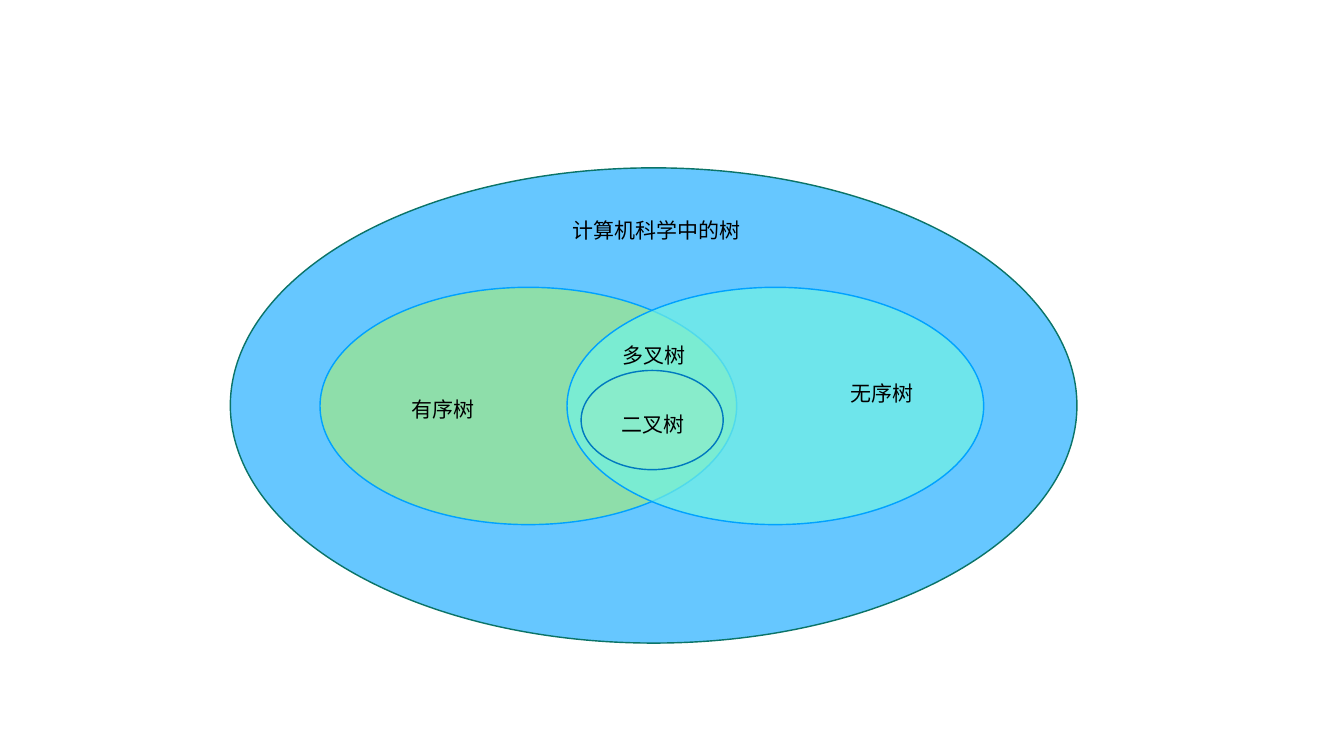
from lxml.etree import SubElement
from pptx import Presentation
from pptx.dml.color import RGBColor as RGB
from pptx.enum.shapes import MSO_SHAPE as Shape
from pptx.enum.text import MSO_ANCHOR as Anchor, PP_ALIGN as Align
from pptx.oxml.ns import qn
from pptx.util import Cm, Pt

HUES = {
    "blue": "66C7FF", "green": "A0E886", "aqua": "72F2E3", "pale": "C0EFAF",
    "teal": "0B7468", "azure": "00A2FF", "navy": "0079BF", "black": "000000",
}

deck = Presentation()
deck.slide_width, deck.slide_height = Cm(67.74), Cm(38.1)
slide = deck.slides.add_slide(deck.slide_layouts[6])


def hue(name):
    return RGB.from_string(HUES[name])


# Nested and crossing sets: left, top, width, height, fill, opacity %, line
SETS = [
    (11.61, 8.46, 42.67, 23.95, "blue", 100, "teal"),
    (16.13, 14.48, 21, 11.96, "green", 70, "azure"),
    (28.58, 14.48, 21, 11.96, "aqua", 70, "azure"),
    (29.29, 18.67, 7.16, 5, "pale", 20, "navy"),
]
for *box, fill, alpha, line in SETS:
    oval = slide.shapes.add_shape(Shape.OVAL, *map(Cm, box))
    oval.shadow.inherit = False
    oval.fill.solid()
    oval.fill.fore_color.rgb = hue(fill)
    oval.line.color.rgb = hue(line)
    oval.line.width = Pt(2)
    if alpha < 100:
        tint = oval.fill._xPr.find(qn("a:solidFill"))[0]
        SubElement(tint, qn("a:alpha"), val=str(alpha * 1000))

# Set names: text, left, top, width
NAMES = [
    ("计算机科学中的树", 27.94, 10.82, 10.31),
    ("有序树", 19.69, 19.81, 5.23),
    ("无序树", 41.86, 19.05, 5.23),
    ("多叉树", 30.33, 17.09, 5.23),
    ("二叉树", 30.51, 20.6, 4.85),
]
FRAME = {"word_wrap": True, "vertical_anchor": Anchor.MIDDLE}
FRAME |= {f"margin_{side}": Cm(0.15) for side in ("left", "top", "right", "bottom")}
FONT = {"name": "Inter", "size": Pt(30)}

for text, left, top, width in NAMES:
    frame = slide.shapes.add_textbox(Cm(left), Cm(top), Cm(width), Cm(1.57)).text_frame
    for key, value in FRAME.items():
        setattr(frame, key, value)
    para = frame.paragraphs[0]
    para.alignment = Align.CENTER
    run = para.add_run()
    run.text = text
    for key, value in FONT.items():
        setattr(run.font, key, value)
    run.font.color.rgb = hue("black")

deck.save("out.pptx")
